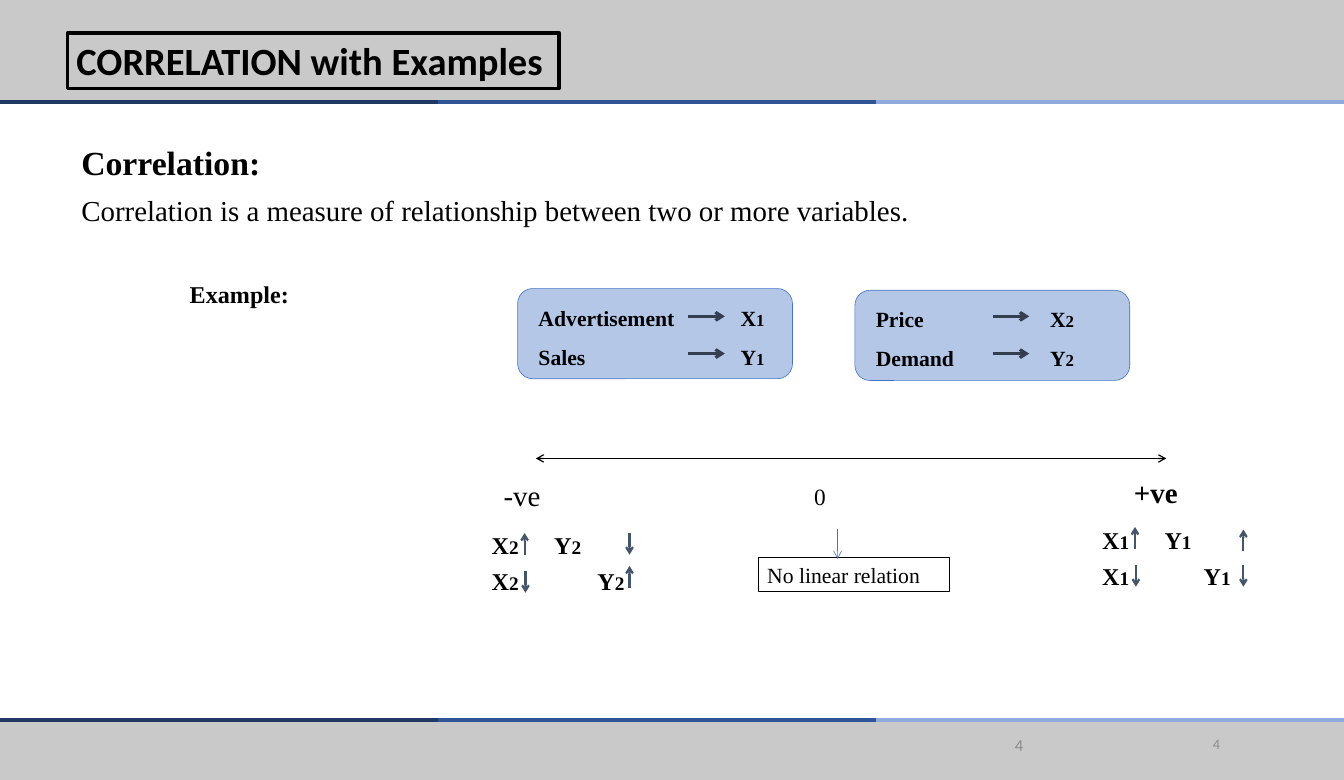
from pptx import Presentation
from pptx.dml.color import RGBColor
from pptx.enum.shapes import MSO_CONNECTOR, MSO_SHAPE
from pptx.enum.text import MSO_ANCHOR, MSO_AUTO_SIZE, PP_ALIGN
from pptx.oxml.ns import qn
from pptx.util import Pt
from lxml.etree import SubElement

EMU_PER_PX = 9144  # 100 px to the inch
WIDTH, HEIGHT = 1550, 900
SERIF, SANS = "Times New Roman", "Calibri"
COLORS = {
    "black": "000000", "white": "FFFFFF", "band": "C9C9C9", "number": "8C8C8C",
    "navy": "203864", "blue": "2F5597", "sky": "8FAADC",
    "card": "B4C7E7", "outline": "4472C4", "trend": "44546A", "link": "333F50",
}


def px(value):
    return round(value * EMU_PER_PX)


def color(name):
    return RGBColor.from_string(COLORS[name])


class SlideBuilder:
    """Holds the text style and the slide being drawn."""

    def __init__(self, slide, font=SERIF):
        self.slide = slide
        self.font = font

    def format_run(self, run, size, bold=False, ink="black", font=None):
        run.font.name = font or self.font
        run.font.size = Pt(size)
        run.font.bold = bold
        run.font.color.rgb = color(ink)

    def frame(self, shape, anchor=MSO_ANCHOR.TOP, left_margin=10):
        text_frame = shape.text_frame
        text_frame.word_wrap = True
        text_frame.auto_size = MSO_AUTO_SIZE.NONE
        text_frame.vertical_anchor = anchor
        text_frame.margin_left, text_frame.margin_right = px(left_margin), px(10)
        text_frame.margin_top = text_frame.margin_bottom = px(5)
        return text_frame

    def outline(self, shape, line, weight):
        if line:
            shape.line.color.rgb = color(line)
            shape.line.width = Pt(weight)
        else:
            shape.line.fill.background()

    def box(self, left, top, width, height, fill=None, line=None, weight=1,
            kind=MSO_SHAPE.RECTANGLE):
        shape = self.slide.shapes.add_shape(
            kind, px(left), px(top), px(width), px(height))
        shape.shadow.inherit = False
        if fill:
            shape.fill.solid()
            shape.fill.fore_color.rgb = color(fill)
        else:
            shape.fill.background()
        self.outline(shape, line, weight)
        return shape

    def text_box(self, left, top, width, height):
        return self.slide.shapes.add_textbox(
            px(left), px(top), px(width), px(height))

    def text(self, shape, text, size, anchor=MSO_ANCHOR.TOP,
             align=PP_ALIGN.LEFT, **style):
        text_frame = self.frame(shape, anchor)
        text_frame.text = text
        paragraph = text_frame.paragraphs[0]
        paragraph.alignment = align
        self.format_run(paragraph.runs[0], size, **style)

    def label(self, left, middle, width, text, size, **style):
        """Text that starts at left and is centred on the height middle."""
        shape = self.text_box(left - 10, middle - 25, width, 50)
        self.text(shape, text, size, MSO_ANCHOR.MIDDLE, **style)

    def title(self, text, left, top, width, height):
        title = self.slide.shapes.title
        title.left, title.top = px(left), px(top)
        title.width, title.height = px(width), px(height)
        self.outline(title, "black", 3)
        self.text(title, text, 32, bold=True, font=SANS)
        title.element.getparent().append(title.element)  # in front of the band

    def variable_rows(self, shape, rows, index, sizes, spacings, anchor):
        """Rows of (text, tab); each capital X or Y at a part's end gets the index."""
        text_frame = self.frame(shape, anchor, left_margin=19)
        for number, ((parts, tab), spacing) in enumerate(zip(rows, spacings)):
            paragraph = (text_frame.add_paragraph() if number
                         else text_frame.paragraphs[0])
            paragraph.alignment = PP_ALIGN.LEFT
            paragraph.line_spacing = spacing
            for part in parts:
                for text, size in zip((part, index), sizes):
                    run = paragraph.add_run()
                    run.text = text
                    self.format_run(run, size, bold=True)
            tabs = SubElement(paragraph._p.get_or_add_pPr(), qn("a:tabLst"))
            SubElement(tabs, qn("a:tab"), pos=str(px(tab)), algn="l")

    def line(self, start, end, ink, weight, heads=()):
        connector = self.slide.shapes.add_connector(
            MSO_CONNECTOR.STRAIGHT, *map(px, start + end))
        self.outline(connector, ink, weight)
        properties = connector.element.spPr
        for head in heads:
            SubElement(properties.find(qn("a:ln")), qn(f"a:{head}"), type="arrow")
        SubElement(properties, qn("a:effectLst"))

    def arrow(self, start, end, ink, weight):
        self.line(start, end, ink, weight, ["tailEnd"])


def add_frame(builder):
    """Header and footer bands with their three-coloured rules."""
    builder.box(0, 831, WIDTH, 69, "band")
    builder.box(0, 0, WIDTH, 118, "band")
    builder.box(0, 118, WIDTH, 23, "white")
    for y in (118, 831):
        for left, right, ink in ((0, 505, "navy"), (505, 1045, "blue"),
                                 (1010, WIDTH, "sky")):
            builder.line((left, y), (right, y), ink, 3)
    number_style = {"anchor": MSO_ANCHOR.MIDDLE, "ink": "number", "font": SANS}
    builder.text(builder.text_box(1389, 834, 80, 48), "4", 12, **number_style)
    builder.text(builder.text_box(803, 835, 387, 48), "4", 13.9,
                 align=PP_ALIGN.RIGHT, **number_style)


def add_definition(builder):
    text_frame = builder.frame(builder.text_box(84, 164, 1376, 120))
    text_frame.text = ("Correlation:\nCorrelation is a measure of relationship "
                       "between two or more variables.")
    for paragraph, size, bold in zip(text_frame.paragraphs, (28, 24), (True, False)):
        paragraph.line_spacing = 0.9
        paragraph.space_before = Pt(11.6)
        builder.format_run(paragraph.runs[0], size, bold)


def add_example_card(builder, left, top, names, index, tab, arrow_left):
    card = builder.box(left, top, 317, 104, "card", "outline", 0.5,
                       MSO_SHAPE.ROUNDED_RECTANGLE)
    rows = [([f"{name}\t{letter}"], tab) for name, letter in zip(names, "XY")]
    builder.variable_rows(card, rows, index, (18, 14), (1.25, 1.5),
                          MSO_ANCHOR.MIDDLE)
    for y in (365, 408):
        builder.arrow((arrow_left, y), (arrow_left + 42, y), "link", 2.5)


def add_trend_pairs(builder, left, top, index, second_tab, arrows):
    """Two rows of X and Y; arrows lists (x, top, rises)."""
    shape = builder.text_box(left, top, 208, 125)
    rows = [(["X", "\tY"], 72), (["X", "\tY"], second_tab)]
    builder.variable_rows(shape, rows, index, (20, 16), (1.25, 1.25),
                          MSO_ANCHOR.TOP)
    for x, y, rises in arrows:
        ends = [(x, y), (x, y + 25)]
        start, end = reversed(ends) if rises else ends
        builder.arrow(start, end, "trend", 1.75)


def main():
    presentation = Presentation()
    presentation.slide_width, presentation.slide_height = px(WIDTH), px(HEIGHT)
    slide = presentation.slides.add_slide(presentation.slide_layouts[5])
    builder = SlideBuilder(slide)

    add_frame(builder)
    builder.title("CORRELATION with Examples", 78, 38, 567, 64)
    add_definition(builder)

    builder.label(219, 339, 200, "Example:", 20, bold=True)
    add_example_card(builder, 597, 333, ("Advertisement", "Sales"), "1", 233, 794)
    add_example_card(builder, 986, 335, ("Price", "Demand"), "2", 201, 1145)

    builder.line((618, 529), (1345, 529), "black", 1, ["headEnd", "tailEnd"])
    builder.label(581, 571, 80, "-ve", 24)
    builder.label(939, 573, 50, "0", 19.4)
    builder.label(1308, 568, 80, "+ve", 24, bold=True)

    add_trend_pairs(builder, 1252, 593, "1", 117, [
        (1309, 608, True), (1434, 611, True),
        (1310, 652, False), (1434, 652, False)])
    add_trend_pairs(builder, 548, 599, "2", 122, [
        (605, 615, True), (726, 653, True),
        (606, 659, False), (726, 615, False)])

    relation = builder.box(875, 643, 220, 40, line="black", weight=0.75)
    builder.text(relation, "No linear relation", 18)
    builder.arrow((966, 610), (966, 645), "outline", 0.5)

    presentation.save("out.pptx")


if __name__ == "__main__":
    main()
